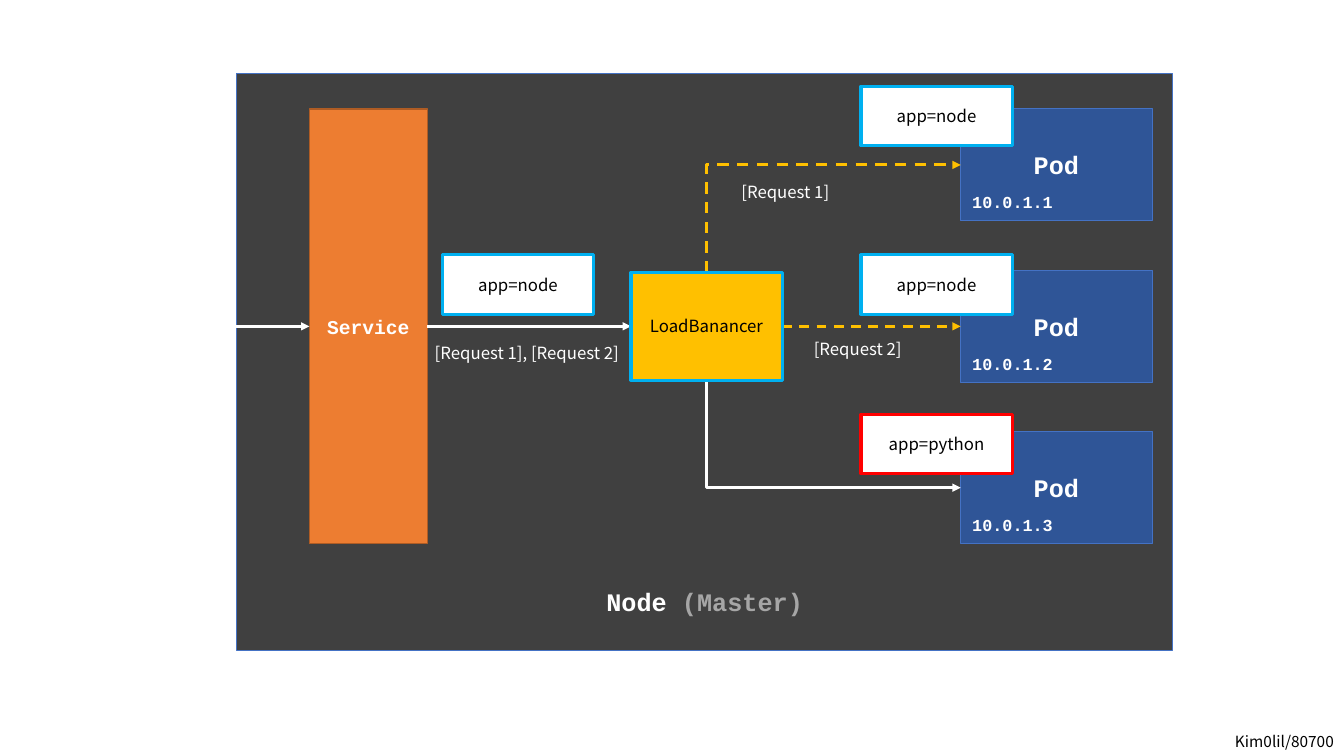
import pptx
import pptx.util
import pptx.dml.color
import pptx.enum.dml
import pptx.enum.shapes
import pptx.enum.text
import pptx.oxml
import pptx.oxml.ns

Pt = pptx.util.Pt
ALIGN = pptx.enum.text.PP_ALIGN
ANCHOR = pptx.enum.text.MSO_ANCHOR
LINK = pptx.enum.shapes.MSO_CONNECTOR

MONO = "Courier New"
SANS = "Noto Sans CJK KR"
COLORS = {
    "white": "FFFFFF", "black": "000000", "dark": "404040", "gray": "A6A6A6",
    "navy": "2F5597", "blue": "4472C4", "orange": "ED7D31", "brown": "AF5C24",
    "gold": "FFC000", "cyan": "00B0F0", "red": "FF0000",
}


def rgb(name):
    return pptx.dml.color.RGBColor.from_string(COLORS[name])


def style(run, font, size, color):
    run.font.name = font
    run.font.size = Pt(size)
    run.font.bold = font == MONO
    run.font.color.rgb = rgb(color)


def write(shape, text, font, size, color, align=ALIGN.CENTER):
    frame = shape.text_frame
    frame.word_wrap = True
    frame.vertical_anchor = ANCHOR.MIDDLE
    frame.text = text
    para = frame.paragraphs[0]
    para.alignment = align
    style(para.runs[0], font, size, color)


def add_box(slide, area, fill, edge, width, text, font, size, color):
    kind = pptx.enum.shapes.MSO_SHAPE.RECTANGLE
    box = slide.shapes.add_shape(kind, *map(Pt, area))
    box.shadow.inherit = False
    box.fill.solid()
    box.fill.fore_color.rgb = rgb(fill)
    box.line.color.rgb = rgb(edge)
    box.line.width = Pt(width)
    write(box, text, font, size, color)
    return box


def add_tag(slide, left, top, text, edge="cyan", fill="white", height=42.5):
    area = (left, top, 108, height)
    add_box(slide, area, fill, edge, 2.25, text, SANS, 12, "black")


def add_label(slide, area, text, font=SANS, size=12, color="white",
              align=ALIGN.CENTER):
    label = slide.shapes.add_textbox(*map(Pt, area))
    write(label, text, font, size, color, align)


def add_link(slide, kind, ends, color, width, dashed=False):
    link = slide.shapes.add_connector(kind, *map(Pt, ends))
    link.line.color.rgb = rgb(color)
    link.line.width = Pt(width)
    if dashed:
        link.line.dash_style = pptx.enum.dml.MSO_LINE.DASH
    props = link._element.spPr
    tail = pptx.oxml.parse_xml(
        '<a:tailEnd %s type="triangle"/>' % pptx.oxml.ns.nsdecls("a"))
    link.line._get_or_add_ln().append(tail)
    props.append(pptx.oxml.parse_xml(
        "<a:effectLst %s/>" % pptx.oxml.ns.nsdecls("a")))
    return props


def add_arrow(slide, left, right, y, color="white", dashed=False):
    add_link(slide, LINK.STRAIGHT, (left, y, right, y), color, 1.75, dashed)


def add_bend(slide, x1, y1, x2, y2, color, dashed=False):
    """Go up or down from (x1, y1), then right to (x2, y2)."""
    mid, half = (x1 + x2) / 2, abs(y2 - y1) / 2
    cy, span = (y1 + y2) / 2, (x2 - x1) / 2
    if y2 < y1:
        turn, rise = 90, -span
    else:
        turn, rise = 270, span
    # A one-corner connector is laid out unturned, then rotated
    ends = (mid + half, cy - rise, mid - half, cy + rise)
    props = add_link(slide, LINK.ELBOW, ends, color, 2, dashed)
    props.prstGeom.set("prst", "bentConnector2")
    props.xfrm.set("rot", str(turn * 60000))


def add_pod(slide, left, top, address):
    add_box(slide, (left, top, 136.8, 80), "navy", "blue", 0.75,
            "Pod", MONO, 18, "white")
    add_label(slide, (left - 5, top + 55.5, 84.2, 22.3), address, MONO)


def add_node(slide):
    node = add_box(slide, (169.2, 52.5, 668.2, 412), "dark", "blue", 0.75,
                   "Node ", MONO, 18, "white")
    frame = node.text_frame
    frame.vertical_anchor = ANCHOR.BOTTOM
    frame.margin_bottom = Pt(24)
    role = frame.paragraphs[0].add_run()
    role.text = "(Master)"
    style(role, MONO, 18, "gray")


def main():
    deck = pptx.Presentation()
    deck.slide_width, deck.slide_height = Pt(960), Pt(540)
    slide = deck.slides.add_slide(deck.slide_layouts[6])

    # Footer and node frame
    add_label(slide, (818, 519, 142, 21), "Kim0lil/80700", SANS, 11, "black",
              ALIGN.RIGHT)
    add_node(slide)

    # Pods, evenly stacked
    pod, top, step = 686.2, 77.8, 115.3
    for i in range(3):
        add_pod(slide, pod, top + i * step, f"10.0.1.{i + 1}")
    high, axis, low = [top + 40 + i * step for i in range(3)]

    # Service
    add_box(slide, (221, top, 84.3, 310.5), "orange", "brown", 1,
            "Service", MONO, 14, "white")

    # Traffic arrows
    hub, depth = 450.7, 77
    center, right = hub + 54, hub + 108
    add_bend(slide, center, axis - depth / 2, pod, high, "gold", True)
    add_bend(slide, center, axis + depth / 2, pod, low, "white")
    add_arrow(slide, right, pod, axis, "gold", True)
    add_arrow(slide, 168, 221, axis)
    add_arrow(slide, 305.3, hub, axis)

    # Selector tags and load balancer
    add_tag(slide, 316, 182, "app=node")
    add_tag(slide, 615, 61.5, "app=node")
    add_tag(slide, 615, 182, "app=node")
    add_tag(slide, 615, 296, "app=python", "red")
    add_tag(slide, hub, axis - depth / 2, "LoadBanancer", "cyan", "gold", depth)

    # Request labels
    add_label(slide, (507, 126, 108, 22.3), "[Request 1]")
    add_label(slide, (558.7, 237.6, 108, 23.8), "[Request 2]")
    add_label(slide, (299, 236.2, 154.8, 31.7), "[Request 1], [Request 2]")

    deck.save("out.pptx")


if __name__ == "__main__":
    main()
